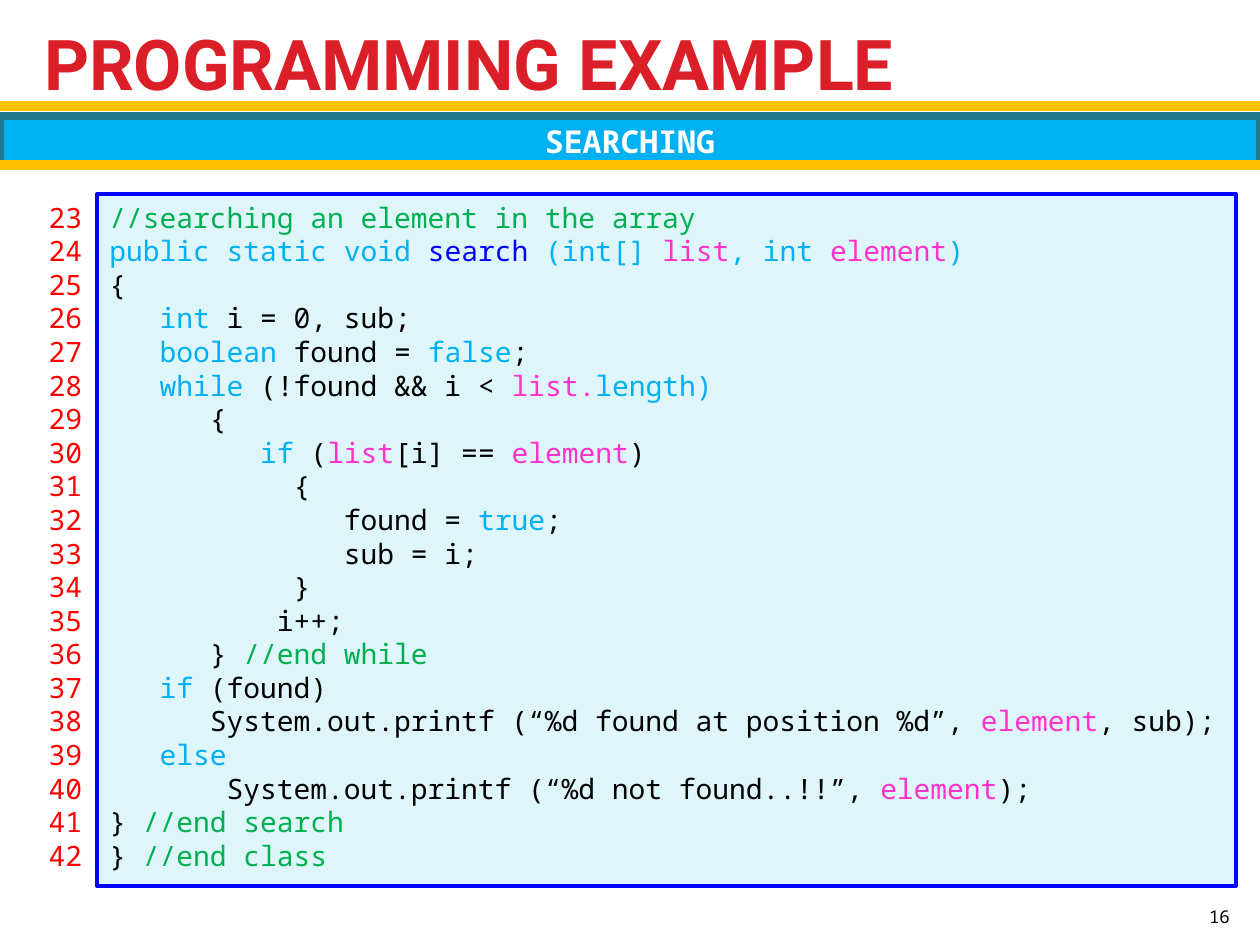
from pptx import Presentation
from pptx.dml.color import RGBColor
from pptx.enum.shapes import MSO_CONNECTOR as Connector, MSO_SHAPE as Shape
from pptx.enum.text import MSO_ANCHOR as Anchor, MSO_AUTO_SIZE as AutoSize, PP_ALIGN as Align
from pptx.oxml.ns import qn
from pptx.util import Inches, Pt
from lxml import etree

GOLD = RGBColor(0xFF, 0xC0, 0x00)
CRIMSON = RGBColor(0xDA, 0x1F, 0x28)
TEAL = RGBColor(0x21, 0x78, 0x8D)
WHITE = RGBColor(0xFF, 0xFF, 0xFF)
PALE = RGBColor(0xDE, 0xF5, 0xFA)
RED = RGBColor(0xFF, 0x00, 0x00)
BLACK = RGBColor(0x00, 0x00, 0x00)
BLUE = RGBColor(0x00, 0x00, 0xFF)
SKY = RGBColor(0x00, 0xB0, 0xF0)
GREEN = RGBColor(0x00, 0xB0, 0x50)
PINK = RGBColor(0xFF, 0x33, 0xCC)
MONO = "Noto Sans Mono"
FIRST_LINE = 23

CODE = [
    [("//searching an element in the array", GREEN)],
    [("public static void ", SKY), ("search", BLUE), (" (int[] ", SKY), ("list", PINK),
     (", int ", SKY), ("element", PINK), (")", SKY)],
    [("{", BLACK)],
    [("   int ", SKY), ("i = 0, sub;", BLACK)],
    [("   boolean ", SKY), ("found = ", BLACK), ("false", SKY), (";", BLACK)],
    [("   while ", SKY), ("(!found && i < ", BLACK), ("list.", PINK), ("length)", SKY)],
    [("      {", BLACK)],
    [("         if ", SKY), ("(", BLACK), ("list", PINK), ("[i] == ", BLACK),
     ("element", PINK), (")", BLACK)],
    [("           {", BLACK)],
    [("              found = ", BLACK), ("true", SKY), (";", BLACK)],
    [("              sub = i;", BLACK)],
    [("           }", BLACK)],
    [("          i++;", BLACK)],
    [("      } ", BLACK), ("//end while", GREEN)],
    [("   if ", SKY), ("(found)", BLACK)],
    [("      System.out.printf (“%d found at position %d”, ", BLACK), ("element", PINK),
     (", sub);", BLACK)],
    [("   else", SKY)],
    [("       System.out.printf (“%d not found..!!”, ", BLACK), ("element", PINK), (");", BLACK)],
    [("} ", BLACK), ("//end search", GREEN)],
    [("}", BLACK), (" //end class", GREEN)],
]


def add_panel(left, top, width, height, fill, line, weight):
    panel = slide.shapes.add_shape(
        Shape.RECTANGLE, Inches(left), Inches(top), Inches(width), Inches(height))
    panel.shadow.inherit = False
    panel.fill.solid()
    panel.fill.fore_color.rgb = fill
    panel.line.color.rgb = line
    panel.line.width = Pt(weight)
    return panel


def write_lines(frame, lines, size, align, bold=False):
    frame.word_wrap = True
    for index, spans in enumerate(lines):
        para = frame.paragraphs[0] if index == 0 else frame.add_paragraph()
        para.alignment = align
        for text, color in spans:
            span = para.add_run()
            span.text = text
            span.font.name = MONO
            span.font.size = Pt(size)
            span.font.bold = bold
            span.font.color.rgb = color


deck = Presentation()
deck.slide_width = Inches(10)
deck.slide_height = Inches(7.5)
slide = deck.slides.add_slide(deck.slide_layouts[5])

title = slide.shapes.title
title.left, title.top = Inches(0.25), Inches(0.17)
title.width, title.height = Inches(9.47), Inches(0.65)
title.text_frame.text = "PROGRAMMING EXAMPLE"
title.text_frame.vertical_anchor = Anchor.MIDDLE
title.text_frame.auto_size = AutoSize.NONE
heading = title.text_frame.paragraphs[0]
heading.alignment = Align.LEFT
heading_font = heading.runs[0].font
heading_font.name = "Roboto"
heading_font.size = Pt(40)
heading_font.bold = True
heading_font.color.rgb = CRIMSON

banner = add_panel(0, 0.92, 10, 0.39, SKY, TEAL, 4.33)
banner.text_frame.vertical_anchor = Anchor.MIDDLE
write_lines(banner.text_frame, [[("SEARCHING", WHITE)]], 18, Align.CENTER, bold=True)

for y in (0.84, 1.31):
    rule = slide.shapes.add_connector(
        Connector.STRAIGHT, Inches(0), Inches(y), Inches(10), Inches(y))
    rule.line.color.rgb = GOLD
    rule.line.width = Pt(6)
    etree.SubElement(rule._element.spPr, qn("a:effectLst"))

code_panel = add_panel(0.77, 1.54, 9.04, 5.49, PALE, BLUE, 2.25)
code_panel.text_frame.vertical_anchor = Anchor.TOP
code_panel.text_frame.auto_size = AutoSize.SHAPE_TO_FIT_TEXT
write_lines(code_panel.text_frame, CODE, 16, Align.LEFT)

number_box = slide.shapes.add_textbox(Inches(0.2), Inches(1.54), Inches(0.55), Inches(5.49))
number_box.text_frame.auto_size = AutoSize.SHAPE_TO_FIT_TEXT
numbers = [[(str(FIRST_LINE + index), RED)] for index in range(len(CODE))]
write_lines(number_box.text_frame, numbers, 16, Align.RIGHT)

page_box = slide.shapes.add_textbox(Inches(9.46), Inches(7.01), Inches(0.4), Inches(0.4))
page_box.text_frame.vertical_anchor = Anchor.BOTTOM
write_lines(page_box.text_frame, [[("16", BLACK)]], 10, Align.RIGHT)

deck.save("out.pptx")
